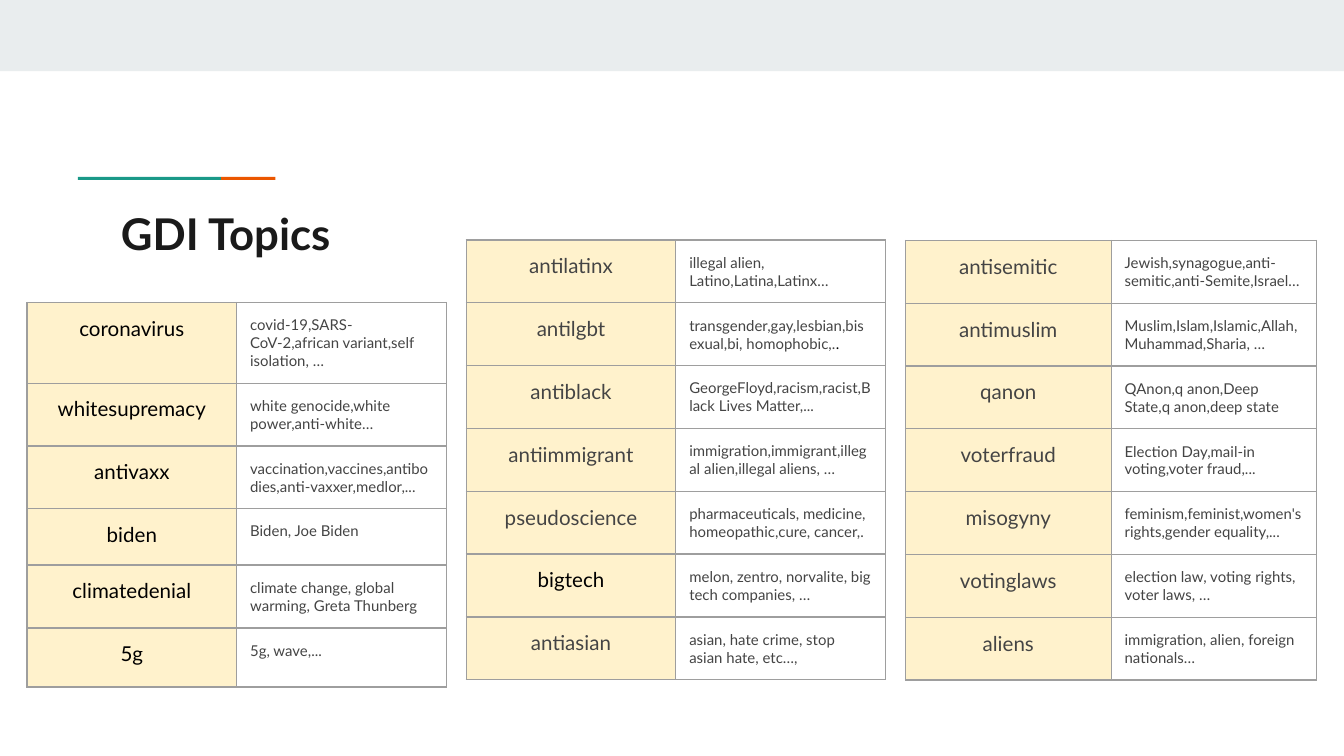
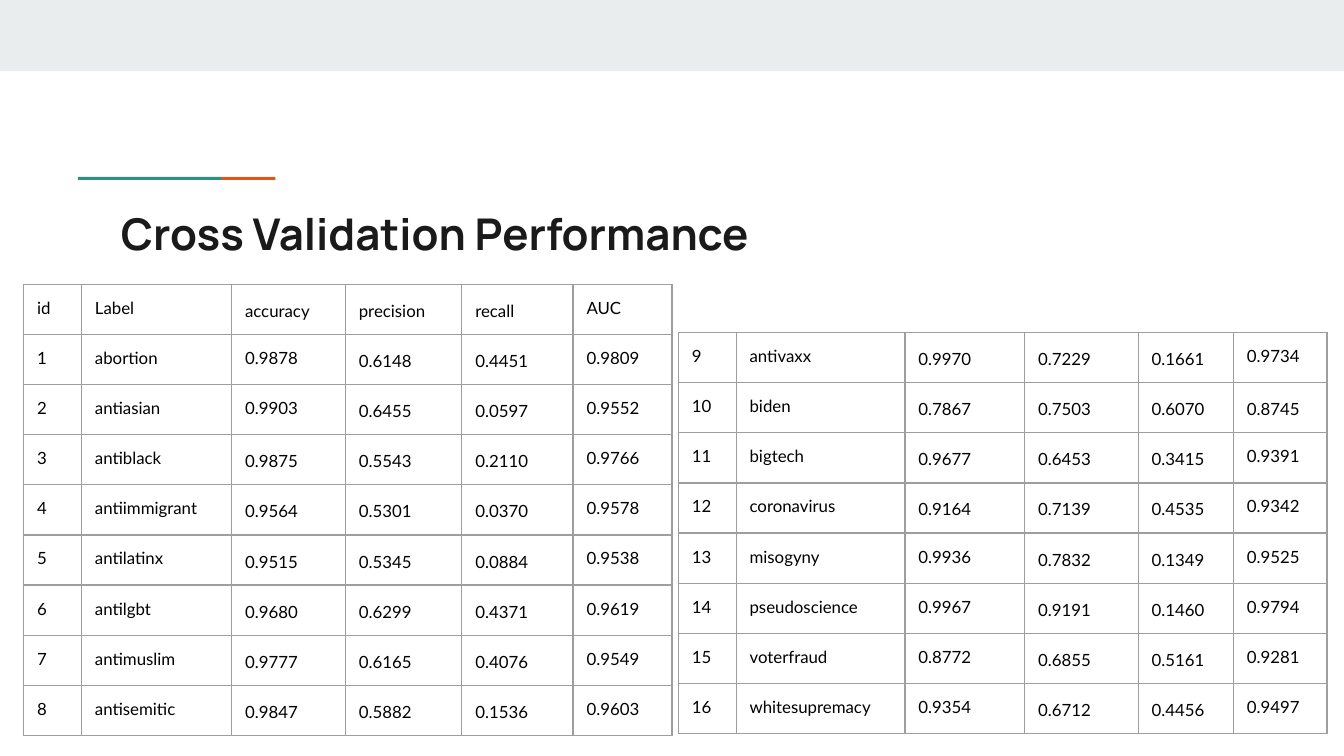
from lxml import etree
from pptx import Presentation
from pptx.dml.color import RGBColor
from pptx.enum.shapes import MSO_SHAPE
from pptx.enum.text import MSO_ANCHOR, MSO_AUTO_SIZE, PP_ALIGN
from pptx.oxml.ns import qn
from pptx.util import Pt

COLORS = {
    "band": "E9EDEE",
    "teal": "1A9988",
    "orange": "EB5600",
    "title": "1A1A1A",
    "text": "444444",
    "black": "000000",
    "topic": "FFF2CC",
    "border": "9E9E9E",
}
BODY_FONT = "Lato"
INSET = 7.2
BORDER_WIDTH = 0.75
TOPIC_ROW = 33.6
SCORE_ROW = 26.8

BLACK_TOPICS = {"coronavirus", "whitesupremacy", "antivaxx", "biden",
                "climatedenial", "5g", "bigtech"}
BLACK_ENDINGS = {"antilgbt": "."}

GENERAL_TOPICS = [
    ("coronavirus", "covid-19,SARS-CoV-2,african variant,self isolation, …"),
    ("whitesupremacy", "white genocide,white power,anti-white…"),
    ("antivaxx", "vaccination,vaccines,antibodies,anti-vaxxer,medlor,..."),
    ("biden", "Biden, Joe Biden"),
    ("climatedenial", "climate change, global warming, Greta Thunberg"),
    ("5g", "5g, wave,..."),
]
GROUP_TOPICS = [
    ("antilatinx", "illegal alien, Latino,Latina,Latinx…"),
    ("antilgbt", "transgender,gay,lesbian,bisexual,bi, homophobic,."),
    ("antiblack", "GeorgeFloyd,racism,racist,Black Lives Matter,..."),
    ("antiimmigrant", "immigration,immigrant,illegal alien,illegal aliens, …"),
    ("pseudoscience", "pharmaceuticals, medicine, homeopathic,cure, cancer,."),
    ("bigtech", "melon, zentro, norvalite, big tech companies, …"),
    ("antiasian", "asian, hate crime, stop asian hate, etc…,"),
]
BELIEF_TOPICS = [
    ("antisemitic", "Jewish,synagogue,anti-semitic,anti-Semite,Israel…"),
    ("antimuslim", "Muslim,Islam,Islamic,Allah,Muhammad,Sharia, …"),
    ("qanon", "QAnon,q anon,Deep State,q anon,deep state"),
    ("voterfraud", "Election Day,mail-in voting,voter fraud,..."),
    ("misogyny", "feminism,feminist,women's rights,gender equality,..."),
    ("votinglaws", "election law, voting rights, voter laws, …"),
    ("aliens", "immigration, alien, foreign nationals…"),
]

FIRST_SCORES = [
    ("id", "Label", "accuracy", "precision", "recall", "AUC"),
    ("1", "abortion", "0.9878", "0.6148", "0.4451", "0.9809"),
    ("2", "antiasian", "0.9903", "0.6455", "0.0597", "0.9552"),
    ("3", "antiblack", "0.9875", "0.5543", "0.2110", "0.9766"),
    ("4", "antiimmigrant", "0.9564", "0.5301", "0.0370", "0.9578"),
    ("5", "antilatinx", "0.9515", "0.5345", "0.0884", "0.9538"),
    ("6", "antilgbt", "0.9680", "0.6299", "0.4371", "0.9619"),
    ("7", "antimuslim", "0.9777", "0.6165", "0.4076", "0.9549"),
    ("8", "antisemitic", "0.9847", "0.5882", "0.1536", "0.9603"),
]
SECOND_SCORES = [
    ("9", "antivaxx", "0.9970", "0.7229", "0.1661", "0.9734"),
    ("10", "biden", "0.7867", "0.7503", "0.6070", "0.8745"),
    ("11", "bigtech", "0.9677", "0.6453", "0.3415", "0.9391"),
    ("12", "coronavirus", "0.9164", "0.7139", "0.4535", "0.9342"),
    ("13", "misogyny", "0.9936", "0.7832", "0.1349", "0.9525"),
    ("14", "pseudoscience", "0.9967", "0.9191", "0.1460", "0.9794"),
    ("15", "voterfraud", "0.8772", "0.6855", "0.5161", "0.9281"),
    ("16", "whitesupremacy", "0.9354", "0.6712", "0.4456", "0.9497"),
]
SINGLE_SPACED_ACCURACY = {"1", "2", "13", "14", "15", "16"}


def rgb(name):
    """Return the named colour."""
    return RGBColor.from_string(COLORS[name])


def add_run(paragraph, text, size, color, font=BODY_FONT, bold=False):
    """Append one formatted run to a paragraph."""
    run = paragraph.add_run()
    run.text = text
    run.font.name = font
    run.font.size = Pt(size)
    run.font.bold = bold
    run.font.color.rgb = rgb(color)


def add_bar(slide, left, top, width, height, color):
    """Add a plain filled rectangle."""
    shape = slide.shapes.add_shape(
        MSO_SHAPE.RECTANGLE, Pt(left), Pt(top), Pt(width), Pt(height))
    shape.shadow.inherit = False
    shape.fill.solid()
    shape.fill.fore_color.rgb = rgb(color)
    shape.line.fill.background()


def add_titled_slide(presentation, title, font):
    """Add a slide with the top band, accent rule and title."""
    slide = presentation.slides.add_slide(presentation.slide_layouts[5])
    add_bar(slide, 0, 0, 720, 38.2, "band")
    add_bar(slide, 41.8, 94.8, 76.7, 1.6, "teal")
    add_bar(slide, 118.5, 94.8, 29, 1.6, "orange")
    shape = slide.shapes.title
    shape.left, shape.top = Pt(57.6), Pt(103.7)
    shape.width, shape.height = Pt(605.5), Pt(42.5)
    frame = shape.text_frame
    frame.word_wrap = True
    frame.auto_size = MSO_AUTO_SIZE.NONE
    frame.vertical_anchor = MSO_ANCHOR.TOP
    frame.margin_left = frame.margin_right = Pt(INSET)
    frame.margin_top = frame.margin_bottom = Pt(INSET)
    paragraph = frame.paragraphs[0]
    paragraph.alignment = PP_ALIGN.LEFT
    add_run(paragraph, title, 23.4, "title", font, True)
    return slide


def format_cell(cell, fill=None):
    """Set margins, borders and fill of a cell."""
    cell.margin_left = cell.margin_right = Pt(INSET)
    cell.margin_top = cell.margin_bottom = Pt(INSET)
    properties = cell._tc.get_or_add_tcPr()
    for side in ("lnL", "lnR", "lnT", "lnB"):
        line = etree.SubElement(
            properties, qn(f"a:{side}"), w=str(Pt(BORDER_WIDTH)))
        solid = etree.SubElement(line, qn("a:solidFill"))
        etree.SubElement(solid, qn("a:srgbClr"), val=COLORS["border"])
    if fill:
        cell.fill.solid()
        cell.fill.fore_color.rgb = rgb(fill)
    else:
        cell.fill.background()


def add_grid(slide, left, top, widths, heights):
    """Add an unstyled table with the given column widths and row heights."""
    table = slide.shapes.add_table(
        len(heights), len(widths), Pt(left), Pt(top),
        Pt(sum(widths)), Pt(sum(heights))).table
    table.first_row = False
    table.horz_banding = False
    for column, width in zip(table.columns, widths):
        column.width = Pt(width)
    for row, height in zip(table.rows, heights):
        row.height = Pt(height)
    return table


def add_topic_table(slide, left, top, column_width, topics, heights=None):
    """Add a table of topics and their keywords."""
    heights = heights or [TOPIC_ROW] * len(topics)
    table = add_grid(slide, left, top, [column_width] * 2, heights)
    for row, (topic, keywords) in enumerate(topics):
        name_cell, keyword_cell = table.cell(row, 0), table.cell(row, 1)
        format_cell(name_cell, "topic")
        format_cell(keyword_cell)
        paragraph = name_cell.text_frame.paragraphs[0]
        paragraph.alignment = PP_ALIGN.CENTER
        add_run(paragraph, topic, 11,
                "black" if topic in BLACK_TOPICS else "text")
        paragraph = keyword_cell.text_frame.paragraphs[0]
        add_run(paragraph, keywords, 8, "text")
        if topic in BLACK_ENDINGS:
            add_run(paragraph, BLACK_ENDINGS[topic], 8, "black")


def is_loose(identifier, column):
    """Tell whether a score cell has wider line spacing."""
    if column == 2:
        return identifier not in SINGLE_SPACED_ACCURACY
    return column in (3, 4) or (identifier == "10" and column == 5)


def add_score_table(slide, left, top, widths, scores):
    """Add a table of validation scores."""
    table = add_grid(slide, left, top, widths, [SCORE_ROW] * len(scores))
    for row, values in enumerate(scores):
        for column, value in enumerate(values):
            cell = table.cell(row, column)
            format_cell(cell)
            paragraph = cell.text_frame.paragraphs[0]
            if is_loose(values[0], column):
                paragraph.line_spacing = 1.15
            add_run(paragraph, value, 9, "black")


def add_topics_slide(presentation):
    """Build the slide listing topics and keywords."""
    slide = add_titled_slide(presentation, "GDI Topics", BODY_FONT)
    add_topic_table(slide, 14.5, 162, 112.3, GENERAL_TOPICS,
                    [43.2, TOPIC_ROW, TOPIC_ROW, 30.2, TOPIC_ROW, 31.7])
    add_topic_table(slide, 249.8, 128.6, 112.3, GROUP_TOPICS)
    add_topic_table(slide, 485.1, 128.8, 110.2, BELIEF_TOPICS)


def add_performance_slide(presentation):
    """Build the slide with the cross validation scores."""
    slide = add_titled_slide(
        presentation, "Cross Validation Performance", "Manrope")
    add_score_table(slide, 12.7, 152.4, [31, 80.4, 61, 62.4, 59.6, 53],
                    FIRST_SCORES)
    add_score_table(slide, 363.4, 178.2, [31, 90.4, 64.2, 60.8, 51, 50.2],
                    SECOND_SCORES)


def main():
    """Build and save the presentation."""
    presentation = Presentation()
    presentation.slide_width = Pt(720)
    presentation.slide_height = Pt(405)
    add_topics_slide(presentation)
    add_performance_slide(presentation)
    presentation.save("out.pptx")


if __name__ == "__main__":
    main()
